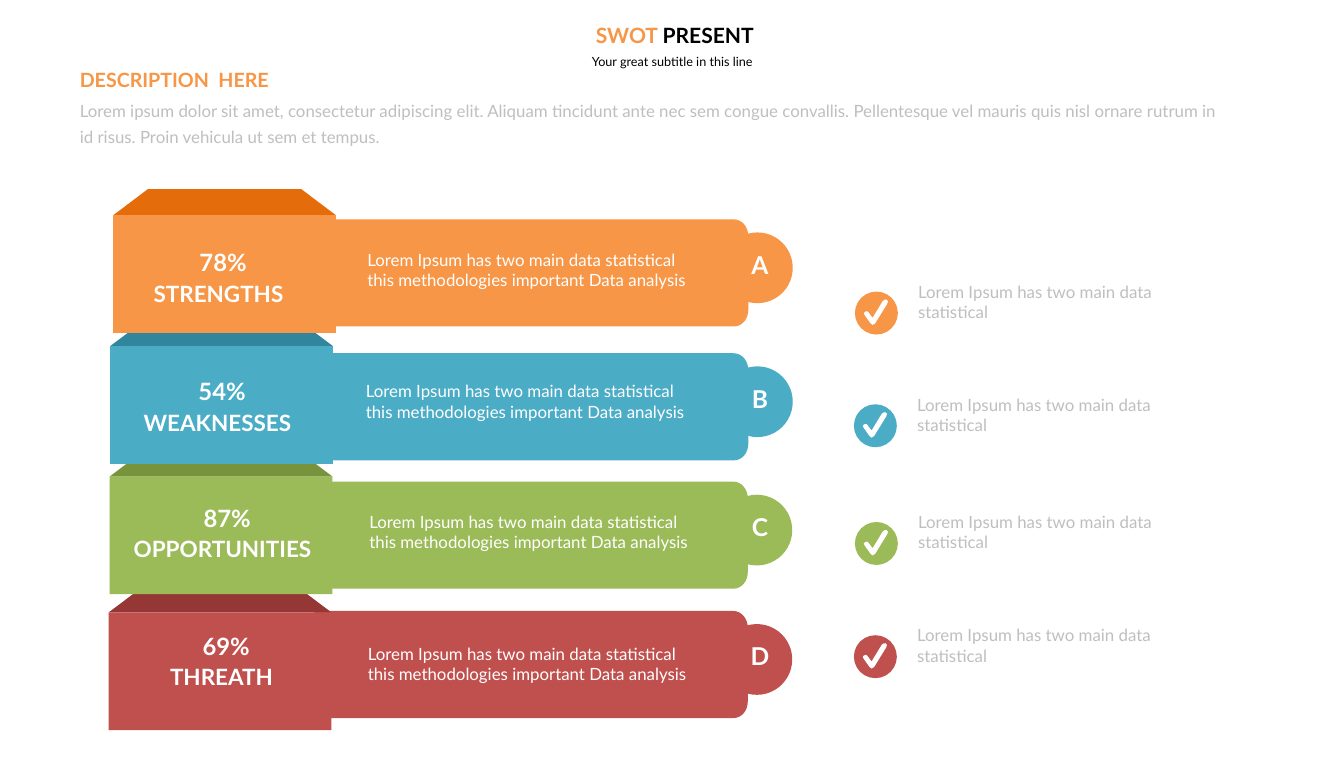
from collections import namedtuple

from pptx import Presentation
from pptx.dml.color import RGBColor
from pptx.enum.shapes import MSO_SHAPE
from pptx.enum.text import MSO_ANCHOR, MSO_AUTO_SIZE, PP_ALIGN
from pptx.oxml.ns import qn
from pptx.oxml.xmlchemy import OxmlElement
from pptx.util import Inches, Pt

RECTANGLE, OVAL = MSO_SHAPE.RECTANGLE, MSO_SHAPE.OVAL
LEFT, CENTER = PP_ALIGN.LEFT, PP_ALIGN.CENTER
TOP, MIDDLE = MSO_ANCHOR.TOP, MSO_ANCHOR.MIDDLE
GROW = MSO_AUTO_SIZE.SHAPE_TO_FIT_TEXT

COLORS = {
    "orange": "F79646", "orange_dark": "E46C0A",
    "blue": "4BACC6", "blue_dark": "31859C",
    "green": "9BBB59", "green_dark": "77933C",
    "red": "C0504D", "red_dark": "953735",
    "white": "FFFFFF", "black": "000000", "gray": "BFBFBF",
}

# Outlines in inches from the top left: two numbers make a line, six a curve
BAR = [(0, 0), (0, 2.12), (8.29, 2.12), (8.47, 2.12, 8.58, 1.96, 8.58, 1.79),
       (8.58, 0.33), (8.58, 0.17, 8.47, 0, 8.29, 0)]
LID = [(4.41, 0.52), (0, 0.52), (0.69, 0), (3.72, 0)]
TICK = [(0.18, 0.51), (0.17, 0.51, 0.16, 0.5, 0.14, 0.48), (0.02, 0.31),
        (0, 0.29, 0, 0.26, 0.03, 0.25), (0.06, 0.23, 0.08, 0.24, 0.09, 0.25),
        (0.18, 0.37), (0.38, 0.04), (0.41, 0.01, 0.43, 0, 0.46, 0.01),
        (0.49, 0.02, 0.49, 0.06, 0.47, 0.09), (0.23, 0.48),
        (0.22, 0.5, 0.21, 0.51, 0.18, 0.51)]

# Each pair is the left and top of that part
Row = namedtuple("Row", "letter percent title color bar block label body check note_width")
ROWS = [
    Row("A", "78%", "STRENGTHS", "orange", (6.23, 4.34), (2.24, 4.26),
        (2.24, 5.44), (7.03, 4.82), (16.92, 5.77), 6.28),
    Row("B", "54%", "WEAKNESSES", "blue", (6.23, 6.99), (2.18, 6.85),
        (2.22, 7.99), (7, 7.42), (16.9, 8), 5.4),
    Row("C", "87%", "OPPORTUNITIES", "green", (6.22, 9.53), (2.17, 9.43),
        (2.32, 10.49), (7.07, 10.01), (16.92, 10.33), 6.28),
    Row("D", "69%", "THREATH", "red", (6.22, 12.09), (2.15, 12.12),
        (2.3, 13.03), (7.04, 12.61), (16.9, 12.57), 5.4),
]
NOTE = "Lorem Ipsum has two main data statistical"
BODY = NOTE + " this methodologies important Data analysis"
DESCRIPTION = (
    "Lorem ipsum dolor sit amet, consectetur adipiscing elit. Aliquam tincidunt "
    "ante nec sem congue convallis. Pellentesque vel mauris quis nisl ornare "
    "rutrum in id risus. Proin vehicula ut sem et tempus.")


class Painter:
    """Holds the style and the current slide."""

    font = "Lato"

    def __init__(self, page):
        self.page = page

    def color(self, name):
        return RGBColor.from_string(COLORS[name])

    def paint(self, shape, color):
        shape.shadow.inherit = False
        shape.fill.solid()
        shape.fill.fore_color.rgb = self.color(color)
        shape.line.fill.background()

    def shape(self, kind, left, top, width, height, color):
        shape = self.page.shapes.add_shape(
            kind, Inches(left), Inches(top), Inches(width), Inches(height))
        self.paint(shape, color)

    def outline(self, segments, left, top, color):
        points = [(Inches(left + x), Inches(top + y))
                  for segment in segments
                  for x, y in zip(segment[::2], segment[1::2])]
        builder = self.page.shapes.build_freeform(*points[0])
        builder.add_line_segments(points[1:], close=True)
        shape = builder.convert_to_shape()
        self.paint(shape, color)

        # Join the three points of each curved segment into one curve
        path = shape.element.find(".//" + qn("a:path"))
        lines = iter(path.findall(qn("a:lnTo")))
        for segment in segments[1:]:
            parts = [next(lines) for _ in segment[::2]]
            if len(parts) == 3:
                curve = OxmlElement("a:cubicBezTo")
                parts[0].addprevious(curve)
                for part in parts:
                    curve.append(part[0])
                    path.remove(part)

    def text(self, spans, left, top, width, height, size, bold=False,
             align=LEFT, anchor=TOP, inset=0.2, spacing=None):
        """Write one paragraph from (words, color) spans."""
        box = self.page.shapes.add_textbox(
            Inches(left), Inches(top), Inches(width), Inches(height))
        frame = box.text_frame
        frame.word_wrap = True
        frame.auto_size = GROW
        frame.vertical_anchor = anchor
        frame.margin_left = frame.margin_right = Inches(inset)
        frame.margin_top = frame.margin_bottom = Inches(inset / 2)
        para = frame.paragraphs[0]
        para.alignment = align
        if spacing:
            para.line_spacing = spacing
        para.font.name, para.font.size, para.font.bold = self.font, Pt(size), bold
        for words, color in spans:
            span = para.add_run()
            span.text = words
            span.font.color.rgb = self.color(color)


def main():
    deck = Presentation()
    deck.slide_width, deck.slide_height = Inches(26.6), Inches(15)
    painter = Painter(deck.slides.add_slide(deck.slide_layouts[6]))

    # Heading and description
    painter.text([("Your great subtitle in this line", "black")],
                 9.22, 0.95, 8.17, 0.55, 18, align=CENTER, inset=0.24)
    painter.text([("SWOT ", "orange"), ("PRESENT", "black")],
                 8.3, 0.34, 10.11, 0.71, 30, bold=True, align=CENTER)
    painter.text([(DESCRIPTION, "gray")], 1.31, 1.73, 23.14, 1.32, 24,
                 anchor=MIDDLE, inset=0.27, spacing=1.3)
    painter.text([("DESCRIPTION  HERE", "orange")], 1.38, 1.25, 4.61, 0.67, 28, bold=True)

    # Bars with lettered discs
    for row in ROWS:
        left, top = row.bar
        painter.outline(BAR, left, top, row.color)
        painter.shape(OVAL, left + 8.06, top + 0.26, 1.4, 1.4, row.color)
        painter.text([(row.letter, "white")], 14.39, top + 0.55, 1.3, 0.69, 35,
                     bold=True, align=CENTER, inset=0.1)

    # Stacked blocks, each covering the lid of the one below
    for row in reversed(ROWS):
        left, top = row.block
        painter.outline(LID, left, top - 0.52, row.color + "_dark")
        painter.shape(RECTANGLE, left, top, 4.41, 2.33, row.color)

    # Block labels
    for row in ROWS:
        left, top = row.label
        painter.text([(row.title, "white")], left, top, 4.17, 0.74, 32,
                     bold=True, align=CENTER)
        painter.text([(row.percent, "white")], left + 0.35, top - 0.63, 3.65, 0.77, 34,
                     bold=True, align=CENTER)

    # Bar texts
    for row in ROWS:
        painter.text([(BODY, "white")], *row.body, 6.84, 1.05, 24, inset=0.24)

    # Checked notes
    for row in ROWS:
        left, top = row.check
        painter.text([(NOTE, "gray")], left + 1.01, top - 0.32, row.note_width, 1.05, 24,
                     inset=0.24)
        painter.shape(OVAL, left, top, 0.85, 0.85, row.color)
        painter.outline(TICK, left + 0.17, top + 0.15, "white")

    deck.save("out.pptx")


if __name__ == "__main__":
    main()
